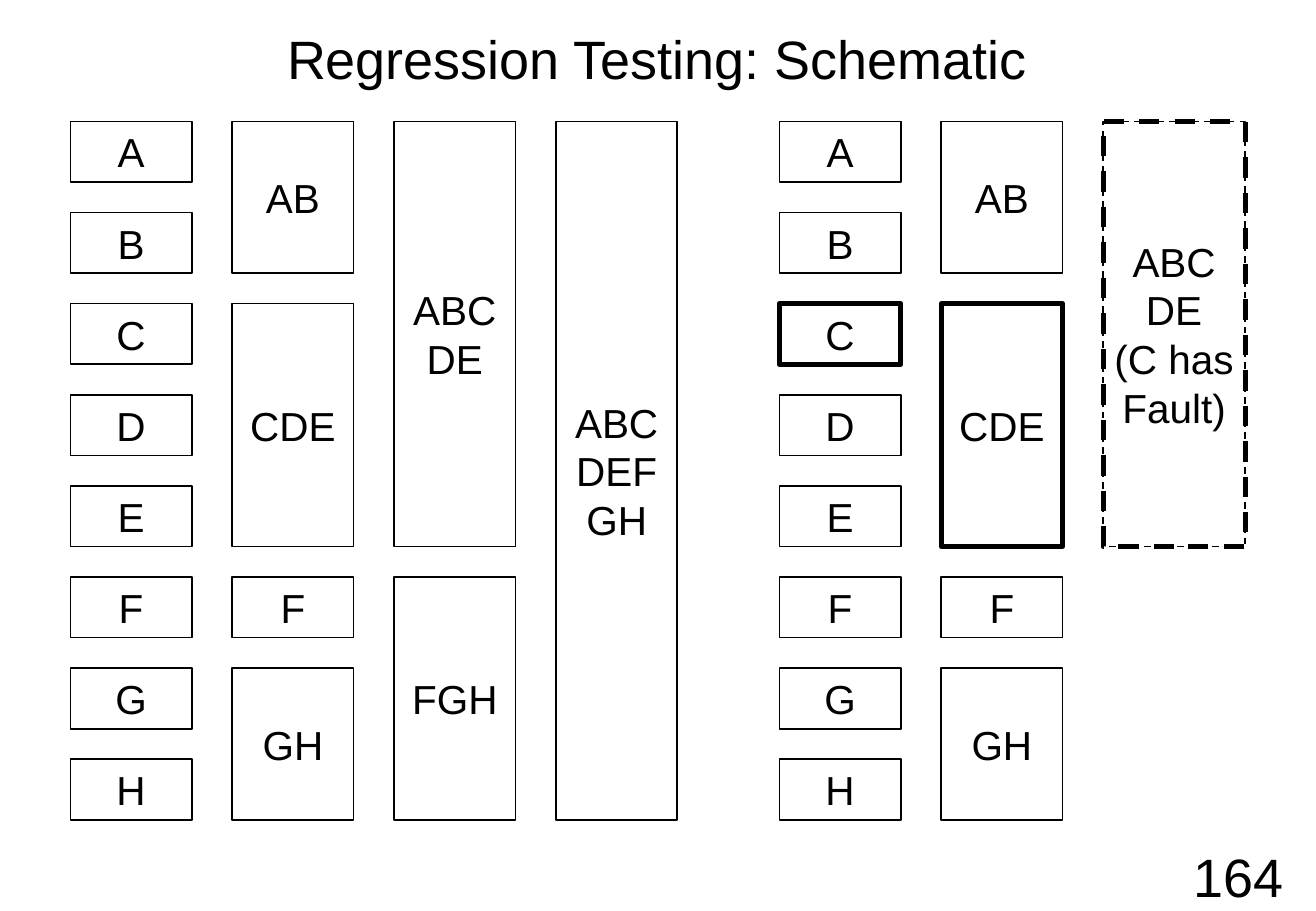
from pptx import Presentation
from pptx.dml.color import RGBColor
from pptx.enum.dml import MSO_LINE
from pptx.enum.shapes import MSO_SHAPE
from pptx.enum.text import MSO_ANCHOR, MSO_AUTO_SIZE, PP_ALIGN
from pptx.util import Inches, Pt

BLACK = RGBColor(0, 0, 0)
WHITE = RGBColor(255, 255, 255)
FONT = "Arial"

# Grid of units: one row per module, one column per test level
ROW = 0.75
GAP = 0.25
COL = 4 / 3
WIDE = 1.17

# Each unit: label, first row, number of rows.
# A label is a list of paragraphs; "\n" is a line break.
UNITS = [([name], row, 1) for row, name in enumerate("ABCDEFGH")]
PAIRS = [(["AB"], 0, 2), (["CDE"], 2, 3), (["GH"], 6, 2), (["F"], 5, 1)]
HALVES = [(["ABC\nDE"], 0, 5), (["FGH"], 5, 3)]
WHOLE = [(["ABC\nDEF", "GH"], 0, 8)]
FAULT = [(["ABC\nDE", "(C has", "Fault)"], 0, 5)]


def write(frame, paras, size, wrap=False):
    """Fill a text frame with centred paragraphs."""
    frame.auto_size = MSO_AUTO_SIZE.NONE
    frame.word_wrap = wrap
    frame.vertical_anchor = MSO_ANCHOR.MIDDLE
    for i, text in enumerate(paras):
        para = frame.add_paragraph() if i else frame.paragraphs[0]
        para.alignment = PP_ALIGN.CENTER
        for j, part in enumerate(text.split("\n")):
            if j:
                para.add_line_break()
            run = para.add_run()
            run.text = part
            run.font.name = FONT
            run.font.size = Pt(size)
            run.font.color.rgb = BLACK


def add_unit(group, left, top, col, unit, width=1, weight=1, dash=False):
    """Draw one box of the grid whose corner is at left, top."""
    label, row, rows = unit
    box = group.shapes.add_shape(
        MSO_SHAPE.RECTANGLE, Inches(left + col * COL), Inches(top + row * ROW),
        Inches(width), Inches(rows * ROW - GAP))
    box.shadow.inherit = False
    box.fill.background()
    box.line.color.rgb = BLACK
    box.line.width = Pt(weight)
    if dash:
        box.line.dash_style = MSO_LINE.DASH
    if label:
        write(box.text_frame, label, 24)


def add_title(slide, left, top, width, height):
    title = slide.shapes.title
    title.left, title.top = Inches(left), Inches(top)
    title.width, title.height = Inches(width), Inches(height)
    write(title.text_frame, ["Regression Testing: Schematic"], 32, True)


def add_first(slide, left, top):
    """First test run: every level up to the whole system."""
    group = slide.shapes.add_group_shape()
    for col, units in enumerate([UNITS, PAIRS, HALVES, WHOLE]):
        for unit in units:
            add_unit(group, left, top, col, unit)


def add_retest(slide, left, top):
    """Second run, with heavy frames on the units that hold C."""
    group = slide.shapes.add_group_shape()
    for col, units in enumerate([UNITS, PAIRS]):
        for unit in units:
            add_unit(group, left, top, col, unit)
    add_unit(group, left, top, 2, FAULT[0], WIDE, dash=True)

    # Heavy frames
    marks = slide.shapes.add_group_shape()
    add_unit(marks, left, top, 0, ([], 2, 1), weight=3)
    add_unit(marks, left, top, 1, ([], 2, 3), weight=3)
    add_unit(marks, left, top, 2, ([], 0, 5), WIDE, 3, True)


def add_number(slide, left, top, width, height):
    box = slide.shapes.add_textbox(
        Inches(left), Inches(top), Inches(width), Inches(height))
    write(box.text_frame, ["164"], 32)


def main():
    deck = Presentation()
    deck.slide_width, deck.slide_height = Inches(10.84), Inches(7.5)
    slide = deck.slides.add_slide(deck.slide_layouts[5])
    slide.background.fill.solid()
    slide.background.fill.fore_color.rgb = WHITE
    add_number(slide, 9.58, 6.92, 1.25, 0.58)
    add_title(slide, 0, 0, 10.83, 0.96)
    add_first(slide, 0.58, 1)
    add_retest(slide, 6.42, 1)
    deck.save("out.pptx")


if __name__ == "__main__":
    main()
